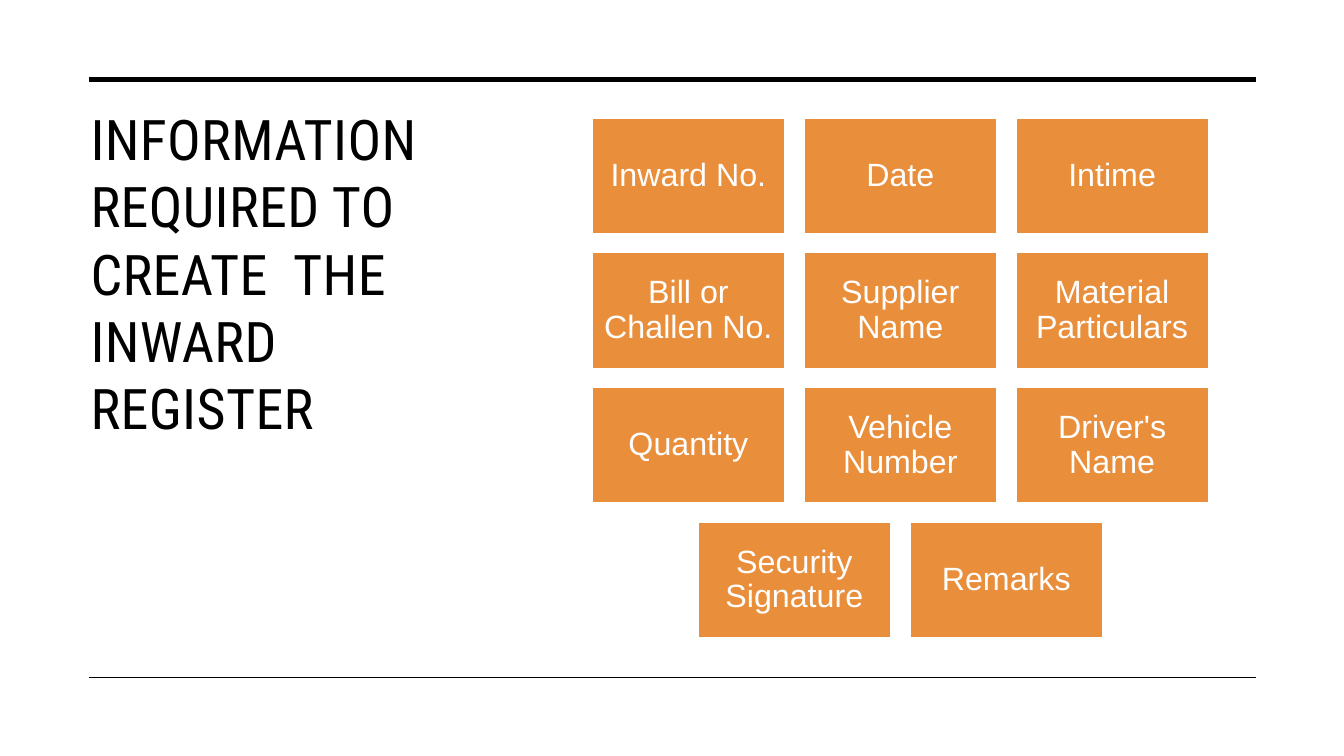
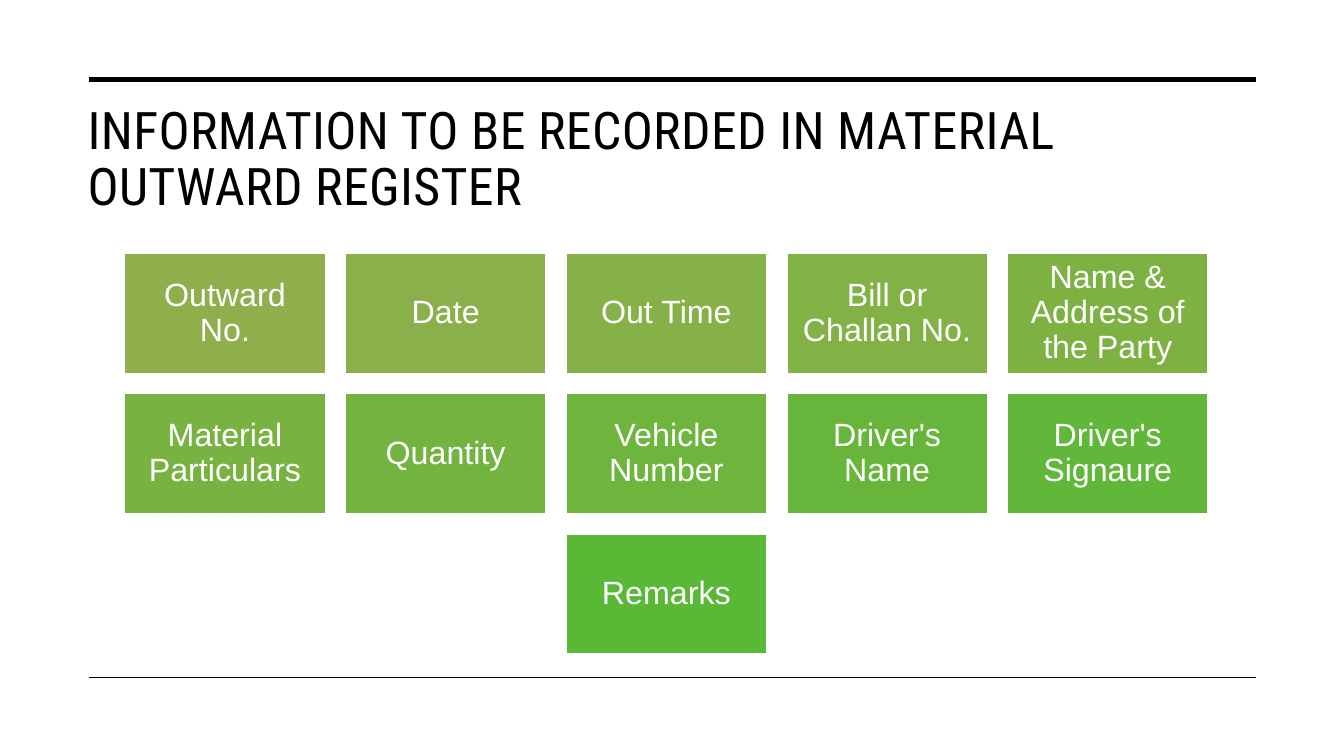
from colorsys import hls_to_rgb, rgb_to_hls

from lxml import etree
from pptx import Presentation
from pptx.dml.color import RGBColor
from pptx.enum import shapes, text
from pptx.oxml.ns import qn
from pptx.util import Inches, Pt

BLACK = RGBColor(0x00, 0x00, 0x00)
WHITE = RGBColor(0xFF, 0xFF, 0xFF)
ORANGE = RGBColor(0xE9, 0x8E, 0x3B)
OLIVE = RGBColor(0x8F, 0xAE, 0x4C)
GREEN = RGBColor(0x5A, 0xB8, 0x37)

RULE_LEFT, RULE_RIGHT = 0.88, 12.46
RULES = [(0.79, 3.5), (6.72, 1)]  # height on the slide, line width
TILE_ASPECT = 0.6  # height of a tile as a share of its width
TILE_GAP = 0.1  # gap between tiles as a share of their width

SLIDES = [
    {
        "title": "INFORMATION REQUIRED TO CREATE  THE INWARD REGISTER",
        "title_box": (0.8, 0.99, 4, 4.82),
        "title_size": 40,
        "title_spacing": 1.0,
        "columns": 3,
        "tile_width": 1.91,
        "grid_centre": 8.93,
        "grid_top": 1.17,
        "colours": (ORANGE, ORANGE),
        "labels": ["Inward No.", "Date", "Intime",
                   "Bill or Challen No.", "Supplier Name", "Material Particulars",
                   "Quantity", "Vehicle Number", "Driver's Name",
                   "Security Signature", "Remarks"],
    },
    {
        "title": "INFORMATION TO BE RECORDED IN MATERIAL OUTWARD REGISTER",
        "title_box": (0.77, 0.99, 11.69, 1.26),
        "title_size": 37,
        "title_spacing": 0.9,
        "columns": 5,
        "tile_width": 1.99,
        "grid_centre": 6.61,
        "grid_top": 2.51,
        "colours": (OLIVE, GREEN),
        "labels": ["Outward No.", "Date", "Out Time", "Bill or Challan No.",
                   "Name & Address of the Party",
                   "Material Particulars", "Quantity", "Vehicle Number",
                   "Driver's Name", "Driver's Signaure",
                   "Remarks"],
    },
]


def blend(first, last, share):
    """Return the colour at share (0 to 1) of the way, mixed by hue, lightness and saturation."""
    ends = [rgb_to_hls(*(channel / 255 for channel in colour)) for colour in (first, last)]
    mixed = [start + (end - start) * share for start, end in zip(*ends)]
    return RGBColor(*(round(channel * 255) for channel in hls_to_rgb(*mixed)))


def write_text(shape, words, font, spacing, **frame_format):
    frame = shape.text_frame
    for name, value in {"word_wrap": True, **frame_format}.items():
        setattr(frame, name, value)
    paragraph = frame.paragraphs[0]
    paragraph.line_spacing = spacing
    run = paragraph.add_run()
    run.text = words
    for name, value in font.items():
        if name == "color":
            run.font.color.rgb = value
        else:
            setattr(run.font, name, value)
    return paragraph


presentation = Presentation()
presentation.slide_width = Inches(13.33)
presentation.slide_height = Inches(7.5)

tile_font = {"name": "Arial", "size": Pt(23), "color": WHITE}
tile_frame = {"vertical_anchor": text.MSO_ANCHOR.MIDDLE}
for side in ("left", "top", "right", "bottom"):
    tile_frame[f"margin_{side}"] = Inches(0.1)

for content in SLIDES:
    slide = presentation.slides.add_slide(presentation.slide_layouts[6])

    title = slide.shapes.add_textbox(*map(Inches, content["title_box"]))
    title_font = {"name": "Roboto Condensed", "size": Pt(content["title_size"]), "color": BLACK}
    paragraph = write_text(title, content["title"], title_font, content["title_spacing"])
    paragraph.runs[0].font._element.set("spc", "30")

    for height, width in RULES:
        rule = slide.shapes.add_connector(
            shapes.MSO_CONNECTOR.STRAIGHT,
            Inches(RULE_LEFT), Inches(height), Inches(RULE_RIGHT), Inches(height))
        rule.line.color.rgb = BLACK
        rule.line.width = Pt(width)
        etree.SubElement(rule._element.spPr, qn("a:effectLst"))

    labels, columns = content["labels"], content["columns"]
    tile_width = content["tile_width"]
    tile_height = tile_width * TILE_ASPECT
    gap = tile_width * TILE_GAP
    for index, label in enumerate(labels):
        row, column = divmod(index, columns)
        in_row = min(columns, len(labels) - row * columns)
        row_width = in_row * (tile_width + gap) - gap
        left = content["grid_centre"] - row_width / 2 + column * (tile_width + gap)
        top = content["grid_top"] + row * (tile_height + gap)
        tile = slide.shapes.add_shape(
            shapes.MSO_SHAPE.RECTANGLE,
            Inches(left), Inches(top), Inches(tile_width), Inches(tile_height))
        tile.shadow.inherit = False
        tile.fill.solid()
        tile.fill.fore_color.rgb = blend(*content["colours"], index / (len(labels) - 1))
        tile.line.color.rgb = WHITE
        tile.line.width = Pt(1)
        paragraph = write_text(tile, label, tile_font, 0.9, **tile_frame)
        paragraph.alignment = text.PP_ALIGN.CENTER

presentation.save("out.pptx")
